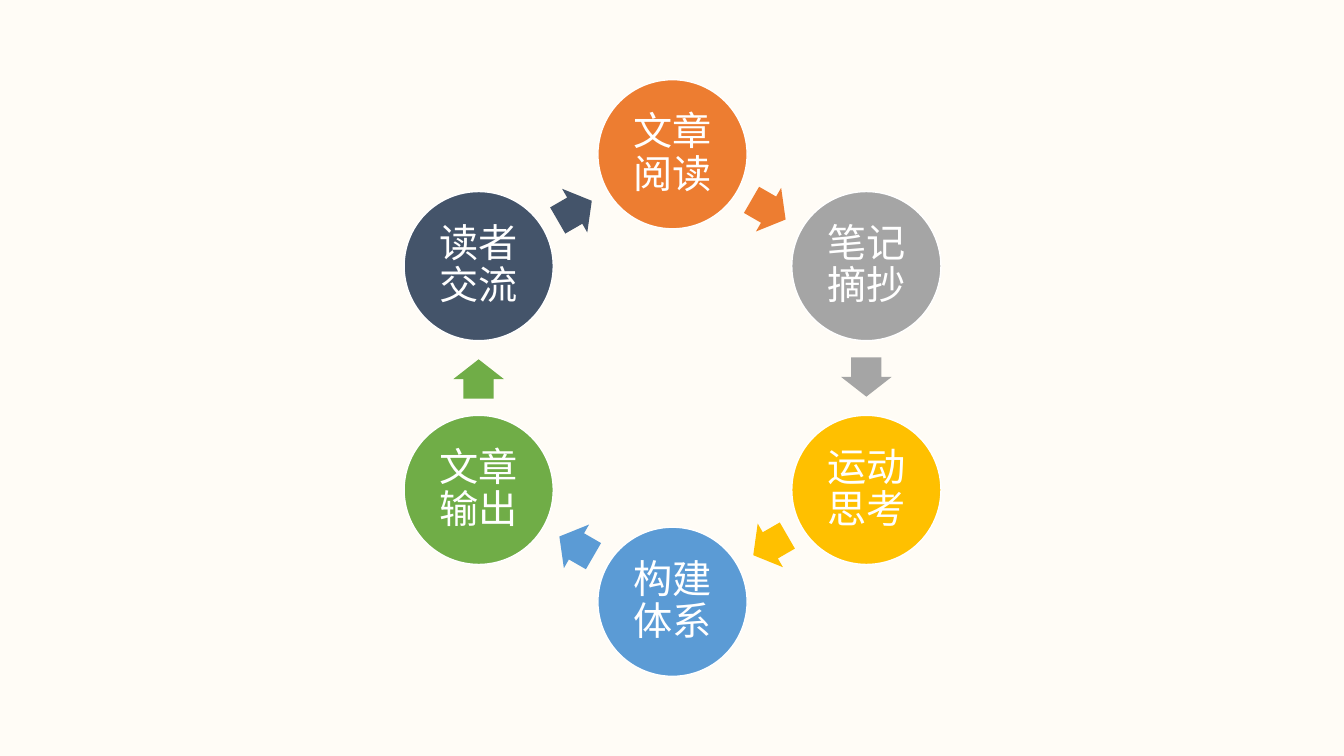
import math

from lxml import etree
from pptx import Presentation
from pptx.dml.color import RGBColor
from pptx.enum import shapes, text
from pptx.oxml import ns
from pptx.util import Inches, Pt

COLORS = {
    "background": "FFFCF6",
    "white": "FFFFFF",
    "orange": "ED7D31",
    "gray": "A5A5A5",
    "yellow": "FFC000",
    "blue": "5B9BD5",
    "green": "70AD47",
    "navy": "44546A",
}
STEPS = [
    ("文章阅读", "orange"),
    ("笔记摘抄", "gray"),
    ("运动思考", "yellow"),
    ("构建体系", "blue"),
    ("文章输出", "green"),
    ("读者交流", "navy"),
]
FONT = "Noto Sans CJK SC"
WIDTH, HEIGHT = 13.33, 7.5
CENTER_X, CENTER_Y = 6.67, 3.75
CYCLE_RADIUS = 2.22
CIRCLE_SIZE = 1.48
ARROW_WIDTH, ARROW_HEIGHT = 0.39, 0.5
ARROW_SETBACK = 0.01


def rgb(name):
    return RGBColor.from_string(COLORS[name])


def add_filled_shape(slide, kind, center_x, center_y, width, height, color):
    shape = slide.shapes.add_shape(
        kind, Inches(center_x - width / 2), Inches(center_y - height / 2),
        Inches(width), Inches(height))
    shape.shadow.inherit = False
    shape.fill.solid()
    shape.fill.fore_color.rgb = rgb(color)
    shape.line.fill.background()
    return shape


def write_label(shape, label):
    frame = shape.text_frame
    frame.word_wrap = True
    frame.vertical_anchor = text.MSO_ANCHOR.MIDDLE
    frame.margin_left = frame.margin_right = Inches(0.04)
    frame.margin_top = frame.margin_bottom = Inches(0.04)
    paragraph = frame.paragraphs[0]
    paragraph.text = label
    paragraph.alignment = text.PP_ALIGN.CENTER
    paragraph.line_spacing = 0.9
    font = paragraph.font
    font.size = Pt(28)
    font.color.rgb = rgb("white")
    font.name = FONT
    properties = paragraph._p.find(".//" + ns.qn("a:defRPr"))
    etree.SubElement(properties, ns.qn("a:ea"), typeface=FONT)


def add_step(slide, angle, label, color):
    circle = add_filled_shape(
        slide, shapes.MSO_SHAPE.OVAL,
        CENTER_X + CYCLE_RADIUS * math.sin(angle),
        CENTER_Y - CYCLE_RADIUS * math.cos(angle),
        CIRCLE_SIZE, CIRCLE_SIZE, color)
    circle.line.color.rgb = rgb("white")
    circle.line.width = Pt(1)
    write_label(circle, label)


def add_step_arrow(slide, angle, half_step, color):
    middle = angle + half_step
    distance = CYCLE_RADIUS * math.cos(half_step)
    arrow = add_filled_shape(
        slide, shapes.MSO_SHAPE.RIGHT_ARROW,
        CENTER_X + distance * math.sin(middle) - ARROW_SETBACK * math.cos(middle),
        CENTER_Y - distance * math.cos(middle) - ARROW_SETBACK * math.sin(middle),
        ARROW_WIDTH, ARROW_HEIGHT, color)
    arrow.adjustments[0] = 0.6
    arrow.adjustments[1] = 0.5
    arrow.rotation = round(math.degrees(middle))


def main():
    presentation = Presentation()
    presentation.slide_width = Inches(WIDTH)
    presentation.slide_height = Inches(HEIGHT)
    slide = presentation.slides.add_slide(presentation.slide_layouts[6])
    add_filled_shape(slide, shapes.MSO_SHAPE.RECTANGLE, WIDTH / 2, HEIGHT / 2,
                     WIDTH, HEIGHT, "background")
    step_angle = 2 * math.pi / len(STEPS)
    for index, (label, color) in enumerate(STEPS):
        angle = index * step_angle
        add_step(slide, angle, label, color)
        add_step_arrow(slide, angle, step_angle / 2, color)
    presentation.save("out.pptx")


main()
